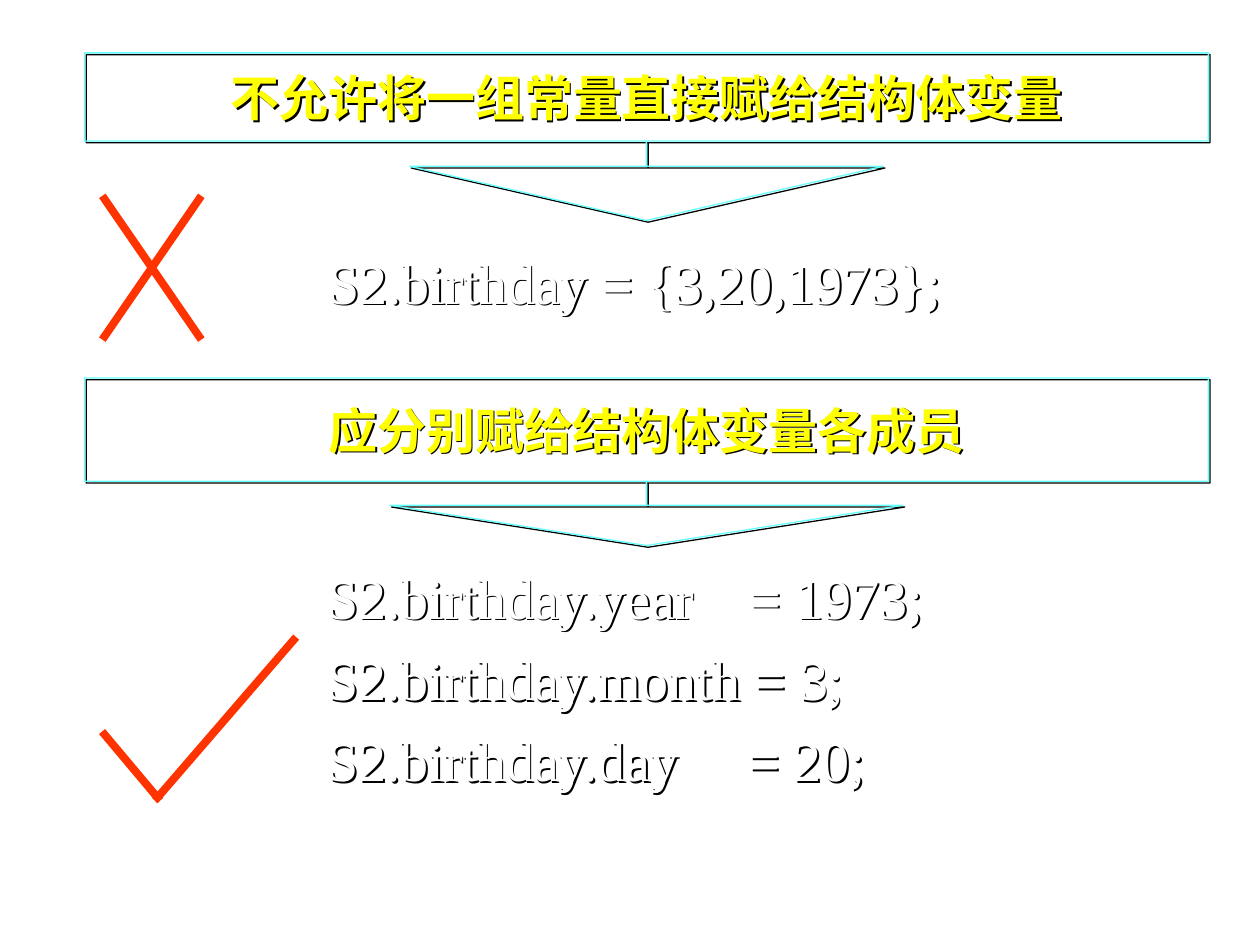
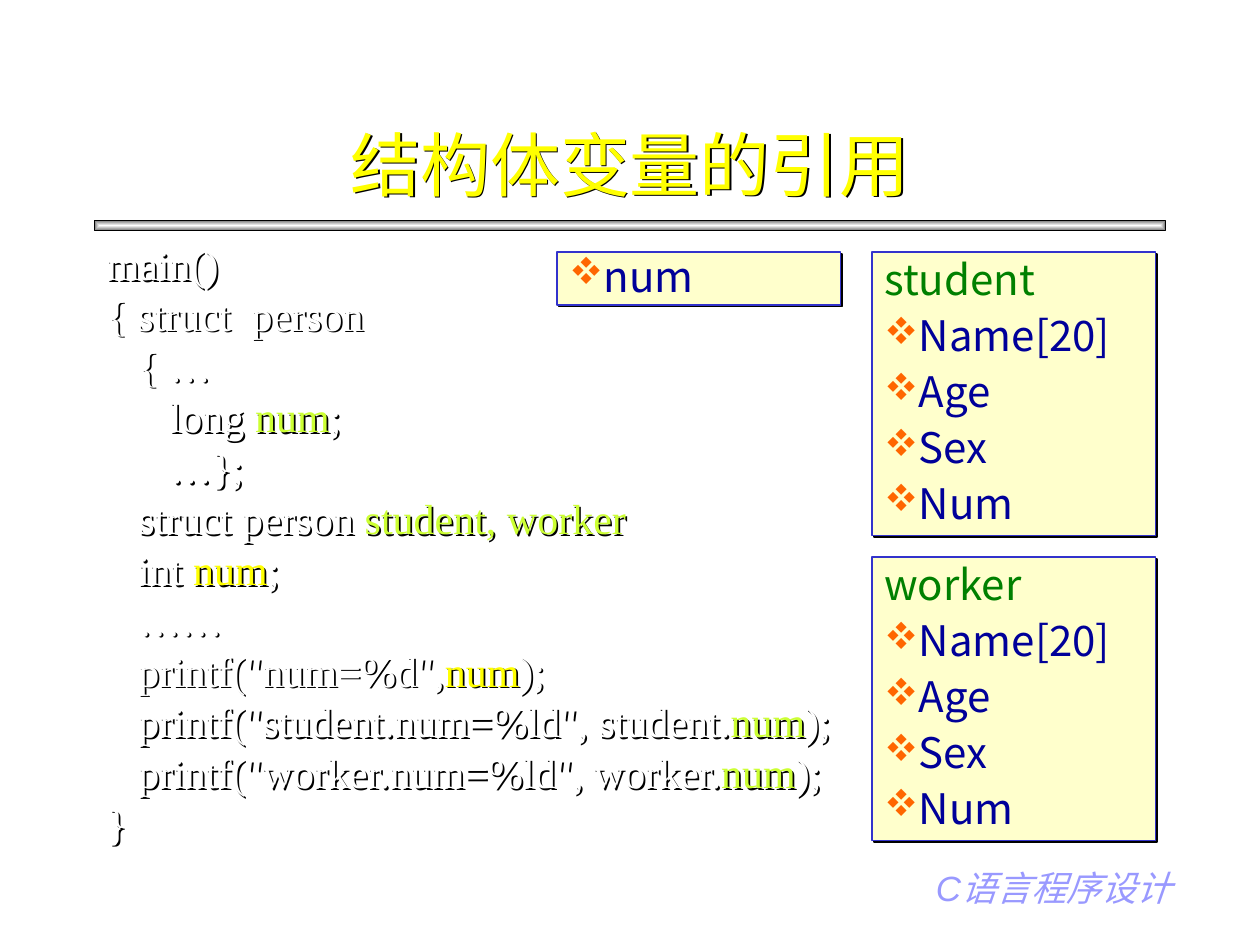
"""Builds two slides on assigning and using structure variables in C."""
import lxml.etree
import pptx
import pptx.dml.color
import pptx.enum.shapes
import pptx.enum.text
import pptx.oxml
import pptx.util

Inches, Pt = pptx.util.Inches, pptx.util.Pt
Shape = pptx.enum.shapes.MSO_SHAPE
Align = pptx.enum.text.PP_ALIGN
Anchor = pptx.enum.text.MSO_ANCHOR

WHITE, BLACK, YELLOW, LIME = "FFFFFF", "000000", "FFFF00", "CCFF33"
CYAN, RED, CREAM, BLUE = "66FFFF", "FF3300", "FFFFCC", "3333CC"
NAVY, GREEN, LILAC, ORANGE = "000099", "008000", "9999FF", "FF6600"
SERIF, SANS, CJK = "Times New Roman", "Arial", "Noto Sans CJK SC"
NS = 'xmlns:a="http://schemas.openxmlformats.org/drawingml/2006/main"'
SHADE = (f'<a:outerShdw {NS} dist="17960" dir="2700000" algn="ctr" rotWithShape="0">'
         f'<a:srgbClr val="{BLACK}"/></a:outerShdw>')
BAR = (f'<a:gradFill {NS} rotWithShape="1"><a:gsLst>'
       f'<a:gs pos="0"><a:srgbClr val="{WHITE}"/></a:gs>'
       '<a:gs pos="100000"><a:srgbClr val="757575"/></a:gs></a:gsLst>'
       '<a:path path="rect"><a:fillToRect l="50000" t="50000" r="50000" b="50000"/></a:path>'
       '</a:gradFill>')


def hue(code):
    return pptx.dml.color.RGBColor.from_string(code)


def write(shape, rows, size, font=SERIF, align=Align.LEFT, anchor=Anchor.TOP,
          gap=0, pitch=1.0, hang=0, bold=None, slant=None):
    frame = shape.text_frame
    frame.word_wrap = True
    frame.vertical_anchor = anchor
    for i, row in enumerate(rows):
        para = frame.paragraphs[0] if i == 0 else frame.add_paragraph()
        para.alignment = align
        para.line_spacing = pitch
        para.space_before = Pt(gap if i else 0)
        if hang:
            props = para._p.get_or_add_pPr()
            props.set("marL", str(Inches(hang)))
            props.set("indent", str(-Inches(hang)))
        for text, code in row:
            run = para.add_run()
            run.text = text
            run.font.size = Pt(size)
            run.font.bold = bold
            run.font.italic = slant
            run.font.color.rgb = hue(code)
            run.font.name = font
            latin = run.font._element.find(pptx.oxml.ns.qn("a:latin"))
            latin.addnext(pptx.oxml.parse_xml(f'<a:ea {NS} typeface="{CJK}"/>'))


deck = pptx.Presentation()
deck.slide_width, deck.slide_height = Inches(10), Inches(7.5)
raised = []

rules = deck.slides.add_slide(deck.slide_layouts[6])
calls = [
    (0.42, "不允许将一组常量直接赋给结构体变量", (0, 1.414, 0.323, 0.526)),
    (3, "应分别赋给结构体变量各成员", (0, 1.531, 0.24, 0.617)),
]
for top, text, bends in calls:
    call = rules.shapes.add_shape(Shape.DOWN_ARROW_CALLOUT, Inches(0.67), Inches(top),
                                  Inches(8.92), Inches(1.33))
    for i, bend in enumerate(bends):
        call.adjustments[i] = bend
    call.fill.background()
    call.line.color.rgb = hue(CYAN)
    call.line.width = Pt(0.75)
    write(call, [[(text, YELLOW)]], 28, align=Align.CENTER, anchor=Anchor.MIDDLE, bold=True)
    raised.append(call)

wrong = ["S2.birthday = {3,20,1973};"]
right = ["S2.birthday.year    = 1973;", "S2.birthday.month = 3;", "S2.birthday.day     = 20;"]
for lines, area, align in [
    (wrong, (0.5, 1.92, 9.08, 0.83), Align.CENTER),
    (right, (2.5, 4.42, 6.5, 2.25), Align.LEFT),
]:
    box = rules.shapes.add_textbox(*map(Inches, area))
    write(box, [[(line, WHITE)] for line in lines], 32, align=align, gap=8, hang=0.38)
    raised.append(box)

cross = [(1.58, 1.58, 0.83, 2.67), (0.83, 1.58, 1.58, 2.67)]
tick = [(0.83, 5.83, 1.25, 6.33), (1.25, 6.33, 2.33, 5.08)]
for ends in cross + tick:
    stroke = rules.shapes.add_connector(pptx.enum.shapes.MSO_CONNECTOR.STRAIGHT,
                                        *map(Inches, ends))
    stroke.line.color.rgb = hue(RED)
    stroke.line.width = Pt(4.5)
    stroke.line._get_or_add_ln().set("cap", "sq")
    lxml.etree.SubElement(stroke._element.spPr, pptx.oxml.ns.qn("a:effectLst"))

usage = deck.slides.add_slide(deck.slide_layouts[5])
band = usage.shapes.add_shape(Shape.RECTANGLE, Inches(0.75), Inches(1.75),
                              Inches(8.5), Inches(0.08))
band.shadow.inherit = False
band.fill.background()
blank = band._element.spPr.find(pptx.oxml.ns.qn("a:noFill"))
blank.getparent().replace(blank, pptx.oxml.parse_xml(BAR))
band.line.color.rgb = hue(BLACK)
band.line.width = Pt(0.75)

foot = usage.shapes.add_textbox(Inches(7.33), Inches(6.83), Inches(2.17), Inches(0.44))
write(foot, [[("C", LILAC), ("语言程序设计", LILAC)]], 20, SANS, slant=True)

title = usage.shapes.title
title.left, title.top = Inches(0.75), Inches(0.67)
title.width, title.height = Inches(8.5), Inches(1.25)
title.fill.background()
write(title, [[("结构体变量的引用", YELLOW)]], 40, align=Align.CENTER, anchor=Anchor.MIDDLE)
raised.append(title)

code = [
    ("main()", WHITE),
    ("{ struct  person", WHITE),
    ("   { …", WHITE),
    ("      long |num|;", LIME),
    ("      …};", WHITE),
    ("   struct person |student, worker", LIME),
    ("   int |num|;", YELLOW),
    ("   ……", WHITE),
    ('   printf("num=%d",|num|);', YELLOW),
    ('   printf("student.num=%ld", student.|num|);', LIME),
    ('   printf("worker.num=%ld", worker.|num|);', LIME),
    ("}", WHITE),
]
rows = [[(part, mark if i % 2 else WHITE) for i, part in enumerate(line.split("|"))]
        for line, mark in code]
box = usage.shapes.add_textbox(Inches(0.75), Inches(1.92), Inches(8.5), Inches(5.33))
write(box, rows, 24, gap=6, pitch=0.8, hang=0.38)
raised.append(box)

fields = ["Name[20]", "Age", "Sex", "Num"]
cards = [
    (6.92, 2, 2.25, ["student"], fields),
    (6.92, 4.42, 2.25, ["worker"], fields),
    (4.42, 2, 0.42, [], ["num"]),
]
for left, top, height, heads, items in cards:
    card = usage.shapes.add_shape(Shape.RECTANGLE, Inches(left), Inches(top),
                                  Inches(2.25), Inches(height))
    card.fill.solid()
    card.fill.fore_color.rgb = hue(CREAM)
    card.line.color.rgb = hue(BLUE)
    card.line.width = Pt(1)
    rows = [[(head, GREEN)] for head in heads] + [[(item, NAVY)] for item in items]
    write(card, rows, 24, CJK, anchor=Anchor.MIDDLE, gap=6, pitch=0.9)
    for para in card.text_frame.paragraphs[len(heads):]:
        props = para._p.get_or_add_pPr()
        for mark in (f'<a:buClr {NS}><a:srgbClr val="{ORANGE}"/></a:buClr>',
                     f'<a:buSzPct {NS} val="90000"/>',
                     f'<a:buFont {NS} typeface="Wingdings" charset="2"/>',
                     f'<a:buChar {NS} char="v"/>'):
            props.append(pptx.oxml.parse_xml(mark))
    raised.append(card)

for shape in raised:
    shape.shadow.inherit = False
    effect = shape._element.spPr.find(pptx.oxml.ns.qn("a:effectLst"))
    effect.append(pptx.oxml.parse_xml(SHADE))

deck.save("out.pptx")
